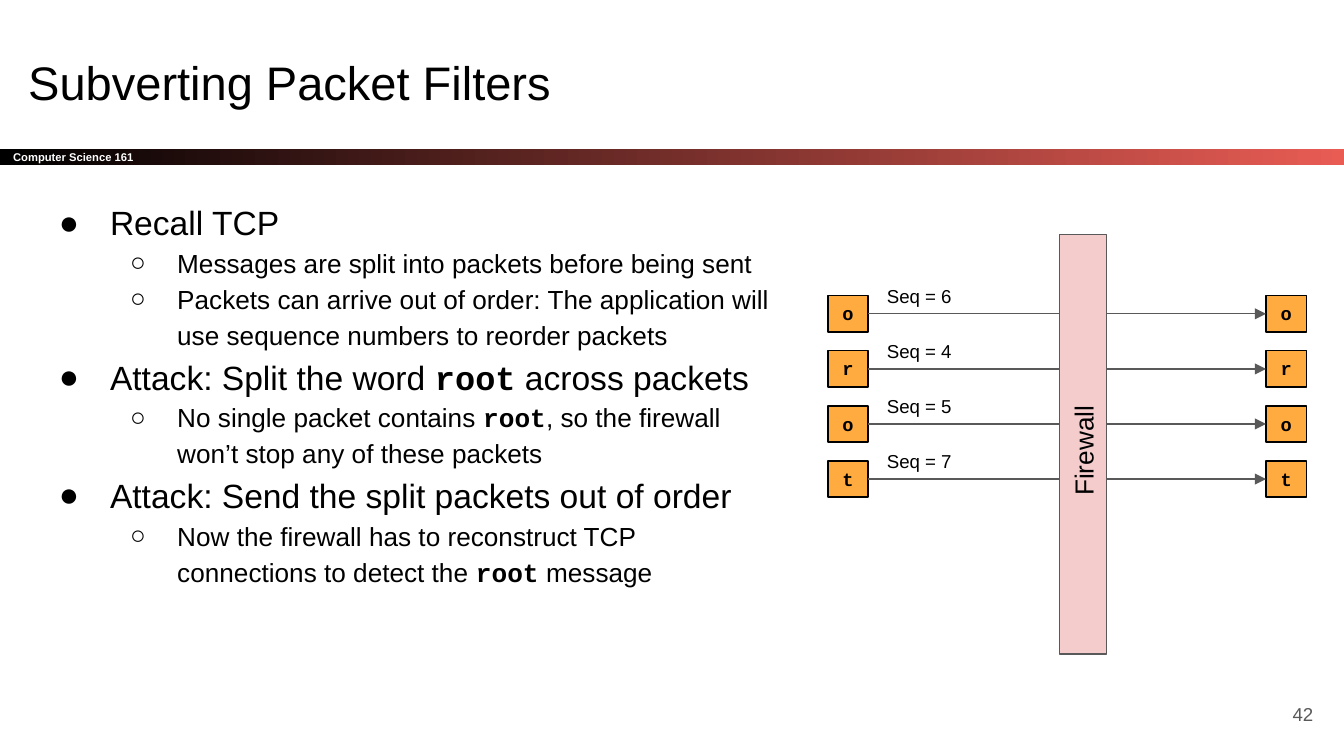
from lxml.etree import SubElement
from pptx import Presentation
from pptx.dml.color import RGBColor
from pptx.enum.shapes import MSO_CONNECTOR, MSO_SHAPE
from pptx.enum.text import MSO_ANCHOR as Anchor, MSO_AUTO_SIZE as AutoSize, PP_ALIGN as Align
from pptx.oxml.ns import qn
from pptx.util import Inches, Pt

BLACK = RGBColor(0x00, 0x00, 0x00)
WHITE = RGBColor(0xFF, 0xFF, 0xFF)
GRAY = RGBColor(0x59, 0x59, 0x59)
CORAL = RGBColor(0xE8, 0x5C, 0x54)
ORANGE = RGBColor(0xFF, 0xAB, 0x40)
PINK = RGBColor(0xF4, 0xCC, 0xCC)

SANS, MONO = "Arial", "Courier New"

# Bullet level: character, left margin, hanging indent, text size
LEVELS = [("●", 0.5, 0.38, 18), ("○", 1, 0.35, 14)]

# Each bullet is a level and its runs; every second run is code
BULLETS = [
    (0, ["Recall TCP"]),
    (1, ["Messages are split into packets before being sent"]),
    (1, ["Packets can arrive out of order: The application will "
         "use sequence numbers to reorder packets"]),
    (0, ["Attack: Split the word ", "root", " across packets"]),
    (1, ["No single packet contains ", "root",
         ", so the firewall won’t stop any of these packets"]),
    (0, ["Attack: Send the split packets out of order"]),
    (1, ["Now the firewall has to reconstruct TCP connections to detect the ",
         "root", " message"]),
]

PACKETS = [("o", 6), ("r", 4), ("o", 5), ("t", 7)]
PACKET_W, PACKET_H = 0.3, 0.27
SENDER_X, RECEIVER_X = 6.16, 9.42
FIRST_Y, PITCH = 2.2, 0.41


def add_run(p, text, size, color=BLACK, font=SANS, bold=False):
    r = p.add_run()
    r.text = text
    r.font.size, r.font.name, r.font.bold = Pt(size), font, bold
    r.font.color.rgb = color


def format_frame(tf, inset=0.1, anchor=Anchor.TOP, auto_size=AutoSize.NONE):
    tf.word_wrap = True
    tf.auto_size = auto_size
    tf.vertical_anchor = anchor
    tf.margin_left = tf.margin_top = Inches(inset)
    tf.margin_right = tf.margin_bottom = Inches(inset)


def add_text(slide, x, y, w, h, **frame):
    tf = slide.shapes.add_textbox(Inches(x), Inches(y), Inches(w), Inches(h)).text_frame
    format_frame(tf, **frame)
    return tf


def add_box(slide, x, y, w, h, fill=None, line=None, **frame):
    sp = slide.shapes.add_shape(MSO_SHAPE.RECTANGLE, Inches(x), Inches(y),
                                Inches(w), Inches(h))
    sp.shadow.inherit = False
    if fill is not None:
        sp.fill.solid()
        sp.fill.fore_color.rgb = fill
    if line is None:
        sp.line.fill.background()
    else:
        sp.line.color.rgb = line
        sp.line.width = Pt(0.75)
    format_frame(sp.text_frame, **frame)
    return sp


def add_packet(slide, x, y, letter):
    sp = add_box(slide, x, y, PACKET_W, PACKET_H, ORANGE, BLACK,
                 inset=0.05, auto_size=AutoSize.SHAPE_TO_FIT_TEXT)
    p = sp.text_frame.paragraphs[0]
    p.alignment = Align.CENTER
    add_run(p, letter, 10, font=MONO, bold=True)
    return sp


def add_arrow(slide, sender, receiver):
    line = slide.shapes.add_connector(MSO_CONNECTOR.STRAIGHT, 0, 0, 0, 0)
    line.begin_connect(sender, 3)
    line.end_connect(receiver, 1)
    line.line.color.rgb = GRAY
    line.line.width = Pt(0.75)
    SubElement(line.line._get_or_add_ln(), qn("a:tailEnd"), type="triangle")
    SubElement(line._element.spPr, qn("a:effectLst"))


def add_header(slide):
    # Course bar
    bar = add_box(slide, 0, 1.11, 10, 0.12, anchor=Anchor.MIDDLE)
    bar.fill.gradient()
    bar.fill.gradient_angle = 0
    for stop, color in zip(bar.fill.gradient_stops, (BLACK, CORAL)):
        stop.color.rgb = color
    p = bar.text_frame.paragraphs[0]
    p.alignment = Align.LEFT
    add_run(p, "Computer Science 161", 6, WHITE, bold=True)

    # Title
    title = slide.shapes.title
    title.left, title.top = Inches(0.11), Inches(0.3)
    title.width, title.height = Inches(9.32), Inches(0.63)
    format_frame(title.text_frame)
    p = title.text_frame.paragraphs[0]
    p.alignment = Align.LEFT
    add_run(p, "Subverting Packet Filters", 25.2)


def add_bullets(slide):
    tf = add_text(slide, 0.22, 1.36, 5.62, 4.12)
    for i, (level, runs) in enumerate(BULLETS):
        char, margin, hang, size = LEVELS[level]
        p = tf.add_paragraph() if i else tf.paragraphs[0]
        p.level = level
        p.line_spacing = 1.15
        pPr = p._p.get_or_add_pPr()
        pPr.set("marL", str(Inches(margin)))
        pPr.set("indent", str(-Inches(hang)))
        color = SubElement(pPr, qn("a:buClr"))
        SubElement(color, qn("a:srgbClr"), val=str(BLACK))
        SubElement(pPr, qn("a:buFont"), typeface=SANS)
        SubElement(pPr, qn("a:buChar"), char=char)
        for j, text in enumerate(runs):
            code = j % 2 == 1
            add_run(p, text, size, font=MONO if code else SANS, bold=code)


def add_diagram(slide):
    # Packets and the arrows between them
    rows = [FIRST_Y + i * PITCH for i in range(len(PACKETS))]
    for y, (letter, _) in zip(rows, PACKETS):
        sender = add_packet(slide, SENDER_X, y, letter)
        receiver = add_packet(slide, RECEIVER_X, y, letter)
        add_arrow(slide, sender, receiver)

    # Firewall across the arrows
    wall = add_box(slide, 6.5, 3.13, 3.12, 0.35, PINK, GRAY, anchor=Anchor.MIDDLE)
    wall.rotation = 270
    wall.text_frame.margin_left = 0
    p = wall.text_frame.paragraphs[0]
    p.alignment = Align.CENTER
    add_run(p, "Firewall", 14)

    # Sequence numbers
    for y, (_, seq) in zip(rows, PACKETS):
        tf = add_text(slide, 6.55, y - 0.13, 1.34, PACKET_H, inset=0.05,
                      auto_size=AutoSize.SHAPE_TO_FIT_TEXT)
        add_run(tf.paragraphs[0], f"Seq = {seq}", 10)


def add_page_number(slide):
    p = add_text(slide, 9.27, 5.1, 0.6, 0.43, anchor=Anchor.MIDDLE).paragraphs[0]
    p.alignment = Align.RIGHT
    add_run(p, "42", 10, GRAY)


def main():
    prs = Presentation()
    # Widescreen, 16 to 9
    prs.slide_width, prs.slide_height = Inches(10), Inches(10 * 9 / 16)
    slide = prs.slides.add_slide(prs.slide_layouts[5])
    add_header(slide)
    add_page_number(slide)
    add_bullets(slide)
    add_diagram(slide)
    prs.save("out.pptx")


if __name__ == "__main__":
    main()
